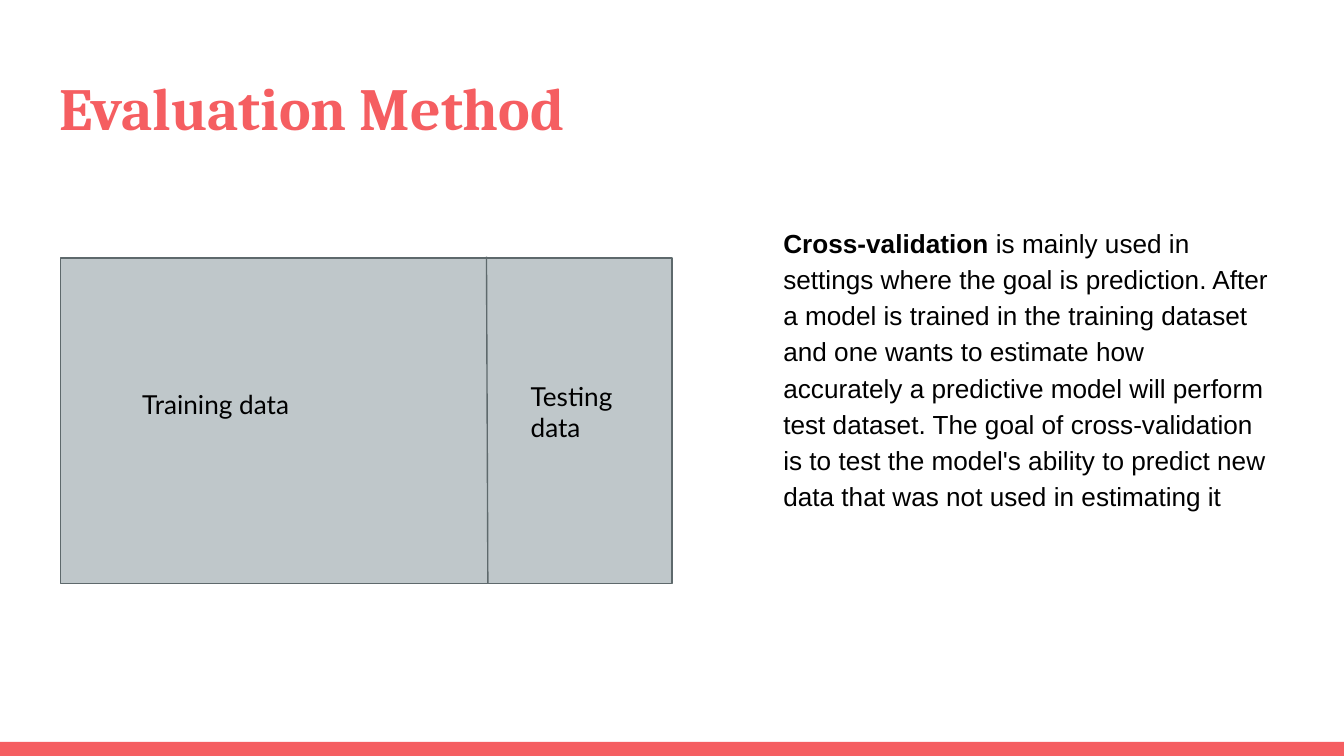
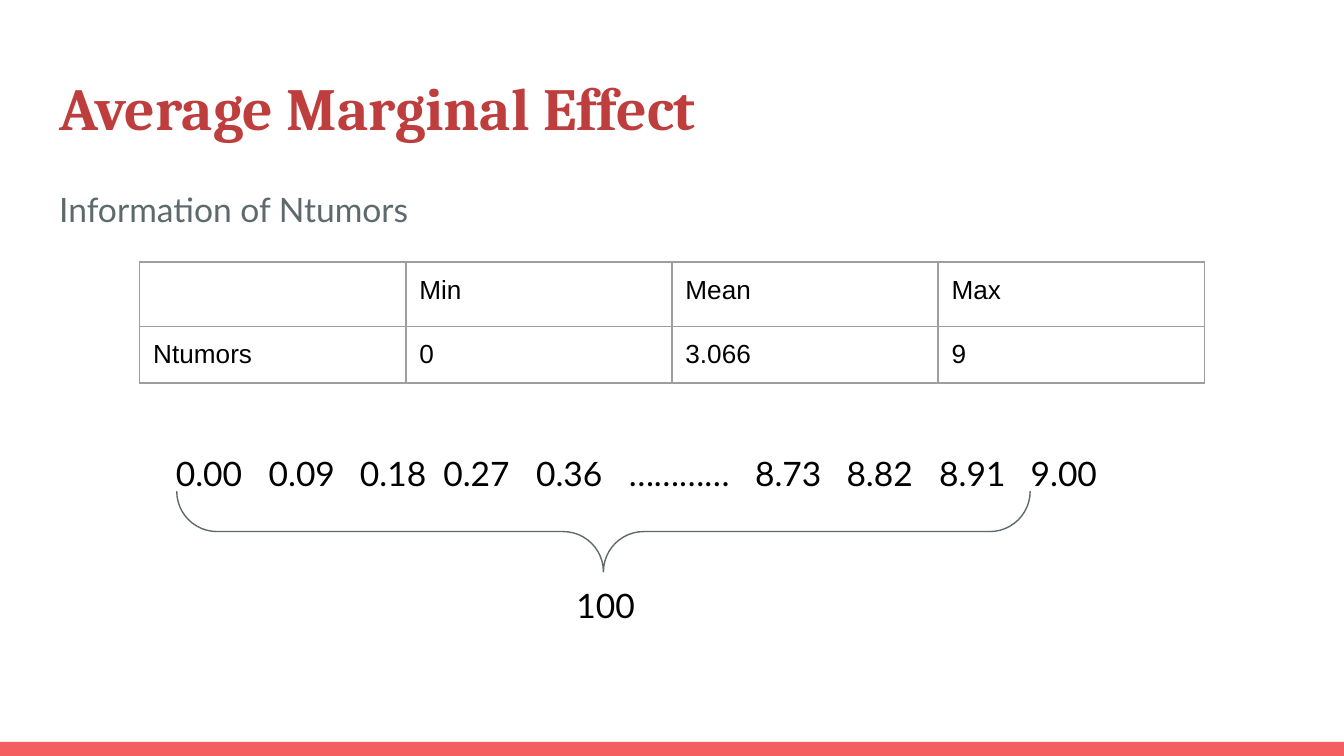
"""Build two slides on cross-validation and the average marginal effect."""
from lxml import etree
from pptx import Presentation
from pptx import util as u
from pptx.dml.color import RGBColor
from pptx.enum import shapes, text
from pptx.oxml.ns import qn

CORAL, BRICK = "F55E61", "BE3D3D"
SLATE, MIST, RULE = "5E696C", "BFC7CA", "9E9E9E"
BLACK = "000000"
INSET = u.Inches(0.1)
THIN = u.Pt(0.75)


def paint(fill, hue):
    fill.solid()
    fill.fore_color.rgb = RGBColor.from_string(hue)


def write(frame, words, size, face="Lato", hue=BLACK, bold=False):
    frame.word_wrap = True
    frame.auto_size = text.MSO_AUTO_SIZE.NONE
    frame.vertical_anchor = text.MSO_ANCHOR.TOP
    frame.margin_left = frame.margin_right = INSET
    frame.margin_top = frame.margin_bottom = INSET
    para = frame.paragraphs[0]
    para.alignment = text.PP_ALIGN.LEFT
    run = para.add_run()
    run.text = words
    run.font.size = u.Pt(size)
    run.font.name = face
    run.font.bold = bold
    paint(run.font.fill, hue)
    return para


deck = Presentation()
deck.slide_width = u.Inches(10)
deck.slide_height = deck.slide_width * 9 // 16

split = deck.slides.add_slide(deck.slide_layouts[5])
effect = deck.slides.add_slide(deck.slide_layouts[1])

band = split.shapes.add_shape(
    shapes.MSO_SHAPE.RECTANGLE, 0, u.Inches(5.52), deck.slide_width, u.Inches(0.11)
)
band.shadow.inherit = False
paint(band.fill, CORAL)
band.line.fill.background()
deck.slide_master.shapes._spTree.append(band._element)

for slide, words, hue in (
    (split, "Evaluation Method", CORAL),
    (effect, "Average Marginal Effect", BRICK),
):
    title = slide.shapes.title
    title.left, title.top = u.Inches(0.34), u.Inches(0.43)
    title.width, title.height = u.Inches(9.32), u.Inches(0.68)
    write(title.text_frame, words, 32, "Cambria", hue, True)

data = split.shapes.add_shape(
    shapes.MSO_SHAPE.RECTANGLE, u.Inches(0.45), u.Inches(1.92), u.Inches(4.55), u.Inches(2.42)
)
paint(data.fill, MIST)
cut = split.shapes.add_connector(
    shapes.MSO_CONNECTOR.STRAIGHT, u.Inches(3.62), u.Inches(1.91), u.Inches(3.63), u.Inches(4.34)
)
brace = effect.shapes.add_shape(
    shapes.MSO_SHAPE.LEFT_BRACE, u.Inches(4.19), u.Inches(0.78), u.Inches(0.6), u.Inches(6.35)
)
brace.rotation = 270
brace.adjustments[0] = brace.adjustments[1] = 0.5
brace.fill.background()
for shape in (data, cut, brace):
    paint(shape.line.fill, SLATE)
    shape.line.width = THIN
for shape in (data, brace):
    shape.shadow.inherit = False
etree.SubElement(cut._element.spPr, qn("a:effectLst"))

scale = "0.00\t0.09\t0.18\t0.27\t0.36\t…………\t8.73\t8.82\t8.91\t9.00"
for slide, spot, words, size in (
    (split, (0.96, 2.79, 1.68, 0.68), "Training data", 14),
    (split, (3.85, 2.73, 1, 0.63), "Testing data", 14),
    (effect, (1.21, 3.27, 7.59, 0.68), scale, 18),
    (effect, (4.19, 4.25, 1.43, 0.47), "100", 18),
):
    box = slide.shapes.add_textbox(*map(u.Inches, spot))
    para = write(box.text_frame, words, size)
    if words == scale:
        tabs = etree.SubElement(para._p.get_or_add_pPr(), qn("a:tabLst"))
        for stop in (0.69, 1.37, 1.99, 2.68, 3.37, 4.31, 4.99, 5.68, 6.36):
            etree.SubElement(tabs, qn("a:tab"), pos=str(u.Inches(stop)), algn="l")

note = split.shapes.add_textbox(u.Inches(5.73), u.Inches(1.56), u.Inches(3.81), u.Inches(1.25))
for words, bold in (
    ("Cross-validation", True),
    (" is mainly used in settings where the goal is prediction. After a model is trained "
     "in the training dataset and one wants to estimate how ", False),
    ("accurately a predictive model will perform test dataset. The goal of cross-validation "
     "is to test the model's ability to predict new data that was not used in estimating it",
     False),
):
    para = write(note.text_frame, words, 14, "Arial", bold=bold)
para.line_spacing = 1.15
para.space_before = para.space_after = u.Pt(32)

body = effect.placeholders[1]
body.left, body.top = u.Inches(0.34), u.Inches(1.26)
body.width, body.height = u.Inches(9.32), u.Inches(1.79)
para = write(body.text_frame, "Information of Ntumors", 18, hue=SLATE)
para.line_spacing = 1.15
para.space_before = u.Pt(0)
props = para._p.get_or_add_pPr()
props.set("marL", "0")
props.set("indent", "0")
etree.SubElement(props, qn("a:buNone"))

rows = (("", "Min", "Mean", "Max"), ("Ntumors", "0", "3.066", "9"))
grid = effect.shapes.add_table(
    2, 4, u.Inches(1.04), u.Inches(1.95), u.Inches(7.92), u.Inches(0.9)
).table
grid.first_row = grid.horz_banding = False
for col in grid.columns:
    col.width = u.Inches(1.98)
for row, high in zip(grid.rows, (0.48, 0.42)):
    row.height = u.Inches(high)
for r, row in enumerate(rows):
    for c, words in enumerate(row):
        cell = grid.cell(r, c)
        if words:
            write(cell.text_frame, words, 14, "Arial")
            cell.margin_left = cell.margin_right = INSET
            cell.margin_top = cell.margin_bottom = INSET
        props = cell._tc.get_or_add_tcPr()
        for side in ("a:lnL", "a:lnR", "a:lnT", "a:lnB"):
            edge = etree.SubElement(props, qn(side), w=str(THIN))
            fill = etree.SubElement(edge, qn("a:solidFill"))
            etree.SubElement(fill, qn("a:srgbClr"), val=RULE)
        cell.fill.background()

deck.save("out.pptx")
